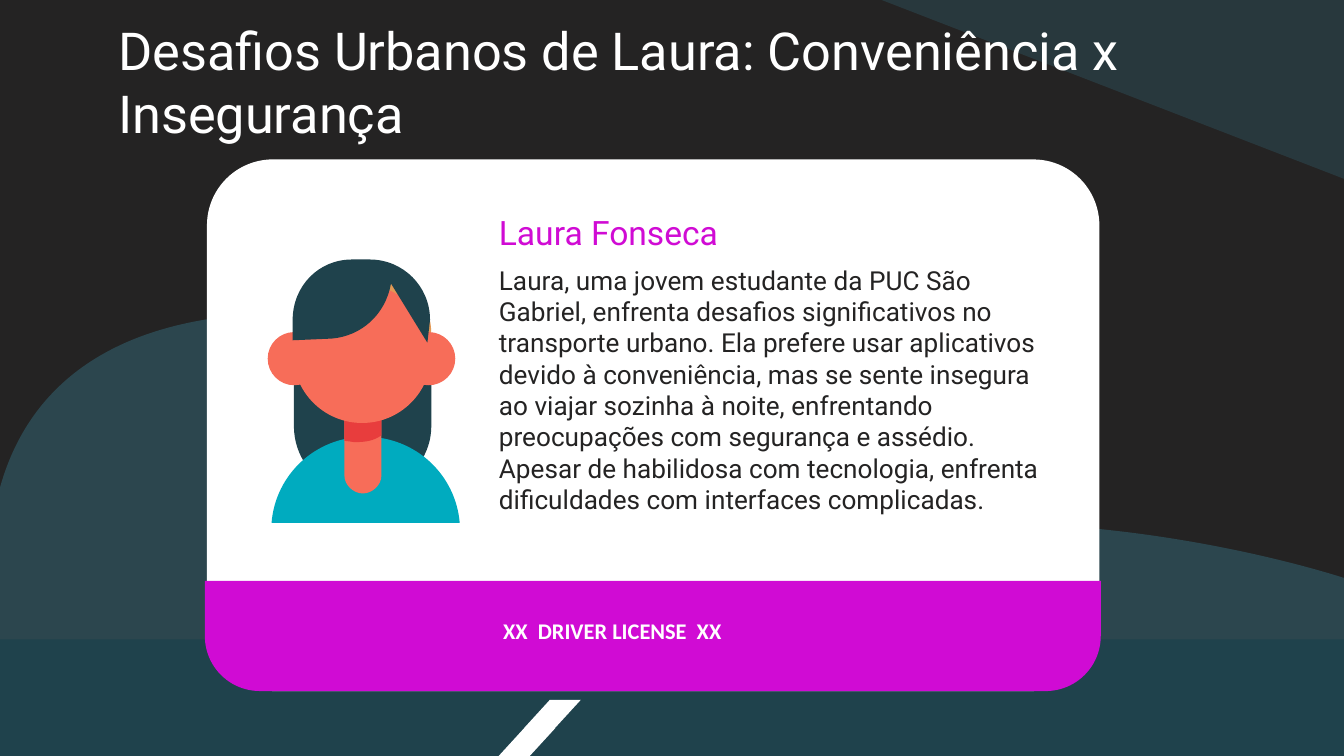
from pptx import Presentation
from pptx.dml.color import RGBColor
from pptx.enum.shapes import MSO_SHAPE
from pptx.enum.text import MSO_ANCHOR, PP_ALIGN
from pptx.oxml.ns import qn
from pptx.util import Pt
from lxml import etree

DARK = RGBColor(0x24, 0x23, 0x23)
SLATE = RGBColor(0x33, 0x65, 0x74)
PETROL = RGBColor(0x1F, 0x42, 0x4C)
WHITE = RGBColor(0xFF, 0xFF, 0xFF)
MAGENTA = RGBColor(0xD0, 0x0B, 0xD4)
TEAL = RGBColor(0x00, 0xAB, 0xBF)
SKIN = RGBColor(0xF7, 0x6D, 0x59)
TAN = RGBColor(0xE2, 0x98, 0x54)
RED = RGBColor(0xE8, 0x3D, 0x3D)

prs = Presentation()
prs.slide_width, prs.slide_height = Pt(720), Pt(405)
s = prs.slides.add_slide(prs.slide_layouts[6])
s.background.fill.solid()
s.background.fill.fore_color.rgb = DARK


def add_text(text, x, y, w, h, size, color, font="Roboto", bold=None,
             anchor=MSO_ANCHOR.TOP, indent=0, fill=None):
    box = Pt(x), Pt(y), Pt(w), Pt(h)
    if fill is None:
        sp = s.shapes.add_textbox(*box)
    else:
        sp = s.shapes.add_shape(MSO_SHAPE.RECTANGLE, *box)
        sp.shadow.inherit = False
        sp.line.fill.background()
        sp.fill.solid()
        sp.fill.fore_color.rgb = fill
    tf = sp.text_frame
    tf.word_wrap = True
    tf.vertical_anchor = anchor
    tf.margin_left = tf.margin_right = tf.margin_top = tf.margin_bottom = Pt(7.2)
    p = tf.paragraphs[0]
    p.alignment = PP_ALIGN.LEFT
    if indent:
        p._p.get_or_add_pPr().set("marL", str(Pt(indent)))
    r = p.add_run()
    r.text = text
    r.font.name, r.font.size, r.font.bold = font, Pt(size), bold
    r.font.color.rgb = color


def circle(x, y, d):
    m, k = d / 2, d * 0.224
    cx, cy, right, bottom = x + m, y + m, x + d, y + d
    return [(cx, y), (x + k, y, x, y + k, x, cy),
            (x, bottom - k, x + k, bottom, cx, bottom),
            (right - k, bottom, right, bottom - k, right, cy),
            (right, y + k, right - k, y, cx, y)]


wave = [
    (168.5, 167), (270, 167, 323.3, 201.6, 348.5, 226.1),
    (381.6, 258.5, 391.7, 283.7, 452.2, 283.7),
    (462.2, 283.7, 473.8, 283, 487.4, 281.5),
    (488.9, 281.5, 489.6, 281.5, 491, 281.5),
    (502.6, 280.8, 514.1, 280.1, 524.9, 280.1), (635, 280.1, 724.3, 311, 724.3, 311),
    (723.6, 360.7), (2.2, 367.2), (2.2, 367.2, -54.7, 182.2, 133.2, 168.5),
    (145.4, 167.8, 157, 167, 168.5, 167)]
long_hair = [
    (157.5, 182.2), (157.5, 228.2), (157.5, 248.4, 173.5, 264.2, 193.7, 264.2),
    (213.8, 264.2, 231.1, 248.4, 231.1, 228.2), (231.1, 183.6)]
shirt = [
    (195.8, 234), (169.2, 234, 147.6, 254.2, 145.5, 280.1), (246.3, 280.1),
    (244.1, 254.2, 222.5, 234, 195.8, 234)]
neck = [
    (184.5, 217.4), (184.5, 254.9), (184.5, 259.9, 189.4, 264.4, 194.4, 264.4),
    (199.4, 264.4, 204.3, 259.9, 204.3, 254.9), (204.3, 217.4)]
neck_shade = [
    (184.5, 217.4), (184.5, 236.2), (186.5, 236.2, 188.6, 236.9, 190.1, 236.9),
    (195.8, 236.9, 200.2, 236.2, 204.3, 233.3), (204.3, 217.4)]
fringe = [
    (188.6, 139), (170.6, 139, 156.8, 153.4, 156.8, 171.4), (156.8, 182.3),
    (177.8, 181.4), (193.7, 180, 206.6, 168.5, 209.5, 151.9), (229, 183.6),
    (230.4, 171.4), (230.4, 153.4, 216, 139, 198, 139)]

parts = [
    (MSO_SHAPE.RIGHT_TRIANGLE, (472.3, 0, 247.7, 95.8), [], 180, SLATE, 32),
    (None, wave, [], 0, SLATE, 54),
    (MSO_SHAPE.RECTANGLE, (0, 342.5, 720, 62.5), [], 0, PETROL, 100),
    (MSO_SHAPE.PARALLELOGRAM, (280.8, 374.9, 30.4, 15.1), [0.915], 0, WHITE, 100),
    (MSO_SHAPE.PARALLELOGRAM, (267.2, 390, 30.4, 15), [0.915], 0, WHITE, 100),
    (MSO_SHAPE.ROUNDED_RECTANGLE, (110.9, 85.4, 478.1, 284.8), [0.124], 0, WHITE, 100),
    (MSO_SHAPE.ROUND_2_SAME_RECTANGLE, (109.7, 311.2, 480, 59), [0.5, 0], 180, MAGENTA, 100),
    (None, long_hair, [], 0, PETROL, 100),
    (None, circle(157, 141.8, 74), [], 0, TAN, 100),
    (None, shirt, [], 0, TEAL, 100),
    (None, neck, [], 0, SKIN, 100),
    (None, neck_shade, [], 0, RED, 100),
    (None, circle(157, 152.6, 74), [], 0, SKIN, 100),
    (None, circle(143.4, 177.9, 28.5), [], 0, SKIN, 100),
    (None, circle(215.4, 177.9, 28.5), [], 0, SKIN, 100),
    (None, fringe, [], 0, PETROL, 100),
]
for kind, geometry, adjustments, rotation, color, opacity in parts:
    if kind is None:
        start, *segments = geometry
        points = [(Pt(seg[i]), Pt(seg[i + 1]))
                  for seg in segments for i in range(0, len(seg), 2)]
        fb = s.shapes.build_freeform(Pt(start[0]), Pt(start[1]))
        fb.add_line_segments(points, close=True)
        sp = fb.convert_to_shape()
        lines = iter(list(sp.element.iter(qn("a:lnTo"))))
        for seg in segments:
            line = next(lines)
            if len(seg) == 6:
                line.tag = qn("a:cubicBezTo")
                for _ in range(2):
                    control = next(lines)
                    line.append(control[0])
                    control.getparent().remove(control)
    else:
        sp = s.shapes.add_shape(kind, *[Pt(v) for v in geometry])
    for i, value in enumerate(adjustments):
        sp.adjustments[i] = value
    sp.rotation = rotation
    sp.shadow.inherit = False
    sp.line.fill.background()
    sp.fill.solid()
    sp.fill.fore_color.rgb = color
    if opacity < 100:
        clr = sp.fill._xPr.find(".//" + qn("a:srgbClr"))
        etree.SubElement(clr, qn("a:alpha")).set("val", str(opacity * 1000))

add_text("XX  DRIVER LICENSE  XX", 226.5, 317.5, 247, 34.6, 12, WHITE, font="Calibri",
         bold=True, anchor=MSO_ANCHOR.BOTTOM, indent=36, fill=MAGENTA)
add_text("Desafios Urbanos de Laura: Conveniência x Insegurança",
         56.3, 20.9, 607.7, 45.4, 28, WHITE, anchor=MSO_ANCHOR.MIDDLE)
add_text("Laura Fonseca", 260.2, 106.1, 330.5, 43.9, 18, MAGENTA)
add_text("Laura, uma jovem estudante da PUC São Gabriel, enfrenta desafios "
         "significativos no transporte urbano. Ela prefere usar aplicativos devido à "
         "conveniência, mas se sente insegura ao viajar sozinha à noite, enfrentando "
         "preocupações com segurança e assédio. Apesar de habilidosa com tecnologia, "
         "enfrenta dificuldades com interfaces complicadas.",
         260.2, 134.2, 313.2, 170.6, 14, DARK)

prs.save("out.pptx")
